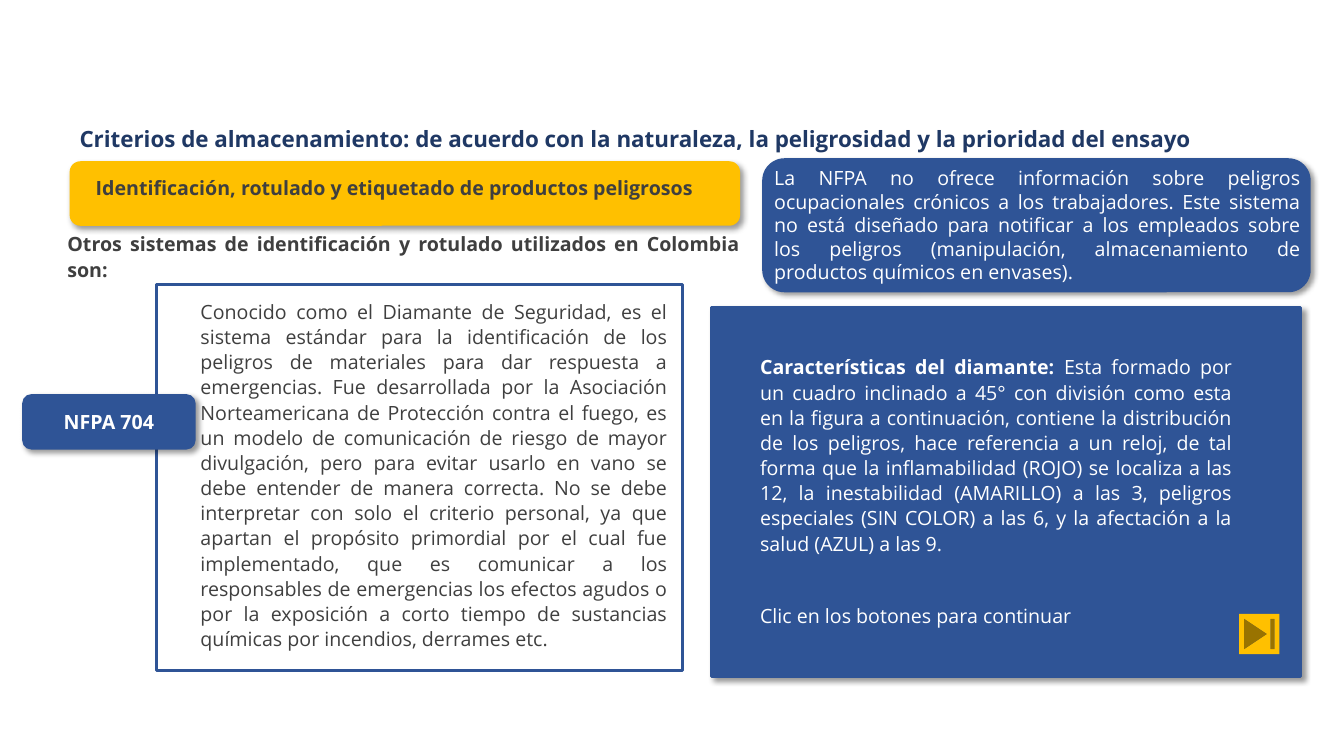
import pptx
import pptx.util
import pptx.dml.color
import pptx.enum.shapes
import pptx.enum.text
import pptx.oxml
import pptx.oxml.ns

Inches, Pt = pptx.util.Inches, pptx.util.Pt
RGBColor = pptx.dml.color.RGBColor
SHAPE = pptx.enum.shapes.MSO_SHAPE
ALIGN = pptx.enum.text.PP_ALIGN
ANCHOR = pptx.enum.text.MSO_ANCHOR

BLUE = RGBColor(0x2F, 0x54, 0x96)
NAVY = RGBColor(0x1F, 0x38, 0x64)
YELLOW = RGBColor(0xFF, 0xC0, 0x00)
GREY = RGBColor(0x3F, 0x3F, 0x3F)
WHITE = RGBColor(0xFF, 0xFF, 0xFF)

SHADOW_XML = (
    f'<a:effectLst {pptx.oxml.ns.nsdecls("a")}>'
    '<a:outerShdw blurRad="50800" dist="38100" dir="2700000" algn="tl" rotWithShape="0">'
    '<a:srgbClr val="000000"><a:alpha val="40000"/></a:srgbClr>'
    '</a:outerShdw></a:effectLst>'
)

NFPA_TEXT = (
    "Conocido como el Diamante de Seguridad, es el sistema estándar para la identificación "
    "de los peligros de materiales para dar respuesta a emergencias. Fue desarrollada por la "
    "Asociación Norteamericana de Protección contra el fuego, es un modelo de comunicación de "
    "riesgo de mayor divulgación, pero para evitar usarlo en vano se debe entender de manera "
    "correcta. No se debe interpretar con solo el criterio personal, ya que apartan el "
    "propósito primordial por el cual fue implementado, que es comunicar a los responsables "
    "de emergencias los efectos agudos o por la exposición a corto tiempo de sustancias "
    "químicas por incendios, derrames etc."
)
LIMITS_TEXT = (
    "La NFPA no ofrece información sobre peligros ocupacionales crónicos a los trabajadores. "
    "Este sistema no está diseñado para notificar a los empleados sobre los peligros "
    "(manipulación, almacenamiento de productos químicos en envases)."
)
DIAMOND_TEXT = (
    " Esta formado por un cuadro inclinado a 45° con división como esta en la figura a "
    "continuación, contiene la distribución de los peligros, hace referencia a un reloj, de "
    "tal forma que la inflamabilidad (ROJO) se localiza a las 12, la inestabilidad (AMARILLO) "
    "a las 3, peligros especiales (SIN COLOR) a las 6, y la afectación a la salud (AZUL) a "
    "las 9."
)


class SlideBuilder:
    font = "Open Sans"
    size = 14

    def __init__(self, slide):
        self.slide = slide

    def style_run(self, r, color, bold=False, size=None):
        r.font.name = self.font
        r.font.size = Pt(size or self.size)
        r.font.bold = bold
        r.font.color.rgb = color

    def panel(self, kind, box, fill=None, line=None, shadow=False):
        sp = self.slide.shapes.add_shape(kind, *map(Inches, box))
        sp.shadow.inherit = False
        if fill is None:
            sp.fill.background()
        else:
            sp.fill.solid()
            sp.fill.fore_color.rgb = fill
        if line is None:
            sp.line.fill.background()
        else:
            sp.line.color.rgb = line
            sp.line.width = Pt(2.25)
        if shadow:
            props = sp.fill._xPr
            props.remove(props.find(pptx.oxml.ns.qn("a:effectLst")))
            props.append(pptx.oxml.parse_xml(SHADOW_XML))
        return sp

    def label(self, sp, text, color):
        """Write one bold, centred line inside a shape."""
        tf = sp.text_frame
        tf.text = text
        tf.vertical_anchor = ANCHOR.MIDDLE
        p = tf.paragraphs[0]
        p.alignment = ALIGN.CENTER
        self.style_run(p.runs[0], color, bold=True)

    def text(self, box, paragraphs, color, size=None, align=ALIGN.JUSTIFY,
             spacing=1.07, gap=0):
        """Add a text box; each paragraph is a list of (text, bold) runs."""
        tf = self.slide.shapes.add_textbox(*map(Inches, box)).text_frame
        tf.word_wrap = True
        for i, runs in enumerate(paragraphs):
            p = tf.add_paragraph() if i else tf.paragraphs[0]
            p.alignment = align
            p.line_spacing = spacing
            if i:
                p.space_before = Pt(gap)
            for content, bold in runs:
                r = p.add_run()
                r.text = content
                self.style_run(r, color, bold, size)


def main():
    prs = pptx.Presentation()
    prs.slide_width, prs.slide_height = Inches(13.33), Inches(7.5)
    s = SlideBuilder(prs.slides.add_slide(prs.slide_layouts[6]))

    s.panel(SHAPE.ROUNDED_RECTANGLE, (7.56, 1.57, 5.44, 1.33), BLUE, shadow=True)
    s.panel(SHAPE.RECTANGLE, (1.55, 2.82, 5.22, 3.83), line=BLUE)
    tag = s.panel(SHAPE.ROUNDED_RECTANGLE, (0.22, 3.91, 1.72, 0.55), BLUE, shadow=True)
    s.label(tag, "NFPA 704", WHITE)
    s.panel(SHAPE.ROUNDED_RECTANGLE, (0.69, 1.6, 6.65, 0.64), YELLOW, shadow=True)

    title = ("Criterios de almacenamiento: de acuerdo con la naturaleza, "
             "la peligrosidad y la prioridad del ensayo")
    s.text((0.69, 1.19, 12.15, 0.64), [[(title, True)]], NAVY, size=16,
           align=ALIGN.LEFT, spacing=1.0)
    subtitle = "Identificación, rotulado y etiquetado de productos peligrosos"
    s.text((0.85, 1.68, 8.41, 0.34), [[(subtitle, True)]], GREY)
    intro = "Otros sistemas de identificación y rotulado utilizados en Colombia son:"
    s.text((0.57, 2.24, 6.87, 0.6), [[(intro, True)]], GREY)
    s.text((1.89, 2.91, 4.83, 3.98), [[(NFPA_TEXT, False)]], GREY)
    s.text((7.58, 1.6, 5.42, 1.51), [[(LIMITS_TEXT, False)]], WHITE, spacing=1.0)

    s.panel(SHAPE.RECTANGLE, (7.06, 3.05, 5.84, 3.66), BLUE, BLUE, shadow=True)
    s.text((7.44, 3.46, 4.88, 3.19),
           [[("Características del diamante:", True), (DIAMOND_TEXT, False)],
            [("Clic en los botones para continuar", False)]],
           WHITE, gap=34)
    s.panel(SHAPE.ACTION_BUTTON_END, (12.29, 6.09, 0.4, 0.4), YELLOW)

    prs.save("out.pptx")


if __name__ == "__main__":
    main()
